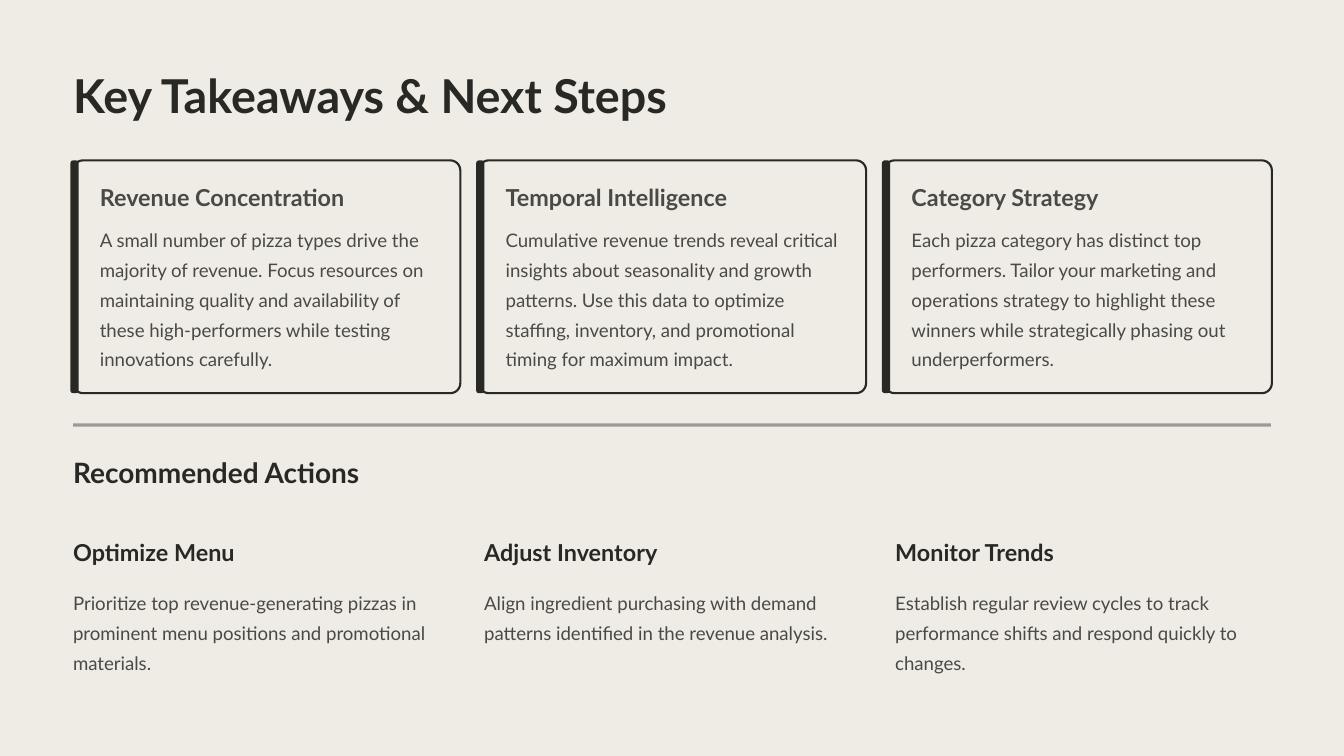
from dataclasses import dataclass

from pptx import Presentation
from pptx.dml.color import RGBColor
from pptx.enum.shapes import MSO_SHAPE
from pptx.enum.text import MSO_ANCHOR, MSO_AUTO_SIZE, PP_ALIGN
from pptx.oxml.ns import qn
from pptx.oxml.xmlchemy import OxmlElement
from pptx.shapes.autoshape import Shape
from pptx.slide import Slide
from pptx.util import Cm, Pt


@dataclass(frozen=True)
class TextStyle:
    size: float
    leading: float
    color: RGBColor
    bold: bool = True
    wrap: bool = False


@dataclass(frozen=True)
class Theme:
    font: str = "Lato"
    paper: RGBColor = RGBColor(0xEF, 0xEC, 0xE6)
    ink: RGBColor = RGBColor(0x28, 0x28, 0x24)
    gray: RGBColor = RGBColor(0x4A, 0x4A, 0x45)
    title: TextStyle = TextStyle(40, 50, ink)
    section: TextStyle = TextStyle(24, 30, ink)
    card_heading: TextStyle = TextStyle(20, 25, gray)
    action_heading: TextStyle = TextStyle(20, 25, ink)
    body: TextStyle = TextStyle(16, 25.5, gray, bold=False, wrap=True)


@dataclass(frozen=True)
class Box:
    """A place on the slide, in centimetres."""
    left: float
    top: float
    width: float
    height: float


@dataclass(frozen=True)
class Topic:
    heading: str
    body: str


THEME = Theme()
MARGIN = 2.21
CARD_TOP, CARD_WIDTH, CARD_HEIGHT, CARD_PITCH = 4.85, 11.71, 7.04, 12.27
CARD_PADDING = 0.81
ACTION_PITCH = 12.43

TAKEAWAYS = [
    Topic("Revenue Concentration",
          "A small number of pizza types drive the majority of revenue. Focus resources on "
          "maintaining quality and availability of these high-performers while testing "
          "innovations carefully."),
    Topic("Temporal Intelligence",
          "Cumulative revenue trends reveal critical insights about seasonality and growth "
          "patterns. Use this data to optimize staffing, inventory, and promotional timing "
          "for maximum impact."),
    Topic("Category Strategy",
          "Each pizza category has distinct top performers. Tailor your marketing and "
          "operations strategy to highlight these winners while strategically phasing out "
          "underperformers."),
]
ACTIONS = [
    Topic("Optimize Menu",
          "Prioritize top revenue-generating pizzas in prominent menu positions and "
          "promotional materials."),
    Topic("Adjust Inventory",
          "Align ingredient purchasing with demand patterns identified in the revenue "
          "analysis."),
    Topic("Monitor Trends",
          "Establish regular review cycles to track performance shifts and respond quickly "
          "to changes."),
]


def place(shape: Shape, box: Box) -> None:
    shape.left, shape.top = Cm(box.left), Cm(box.top)
    shape.width, shape.height = Cm(box.width), Cm(box.height)


def write(shape: Shape, text: str, style: TextStyle) -> None:
    frame = shape.text_frame
    frame.margin_left = frame.margin_right = frame.margin_top = frame.margin_bottom = 0
    frame.auto_size = MSO_AUTO_SIZE.NONE
    frame.word_wrap = style.wrap
    frame.vertical_anchor = MSO_ANCHOR.TOP
    para = frame.paragraphs[0]
    para.alignment = PP_ALIGN.LEFT
    para.space_before = Pt(0)
    para.line_spacing = Pt(style.leading)
    span = para.add_run()
    span.text = text
    span.font.name = THEME.font
    span.font.size = Pt(style.size)
    span.font.bold = style.bold
    span.font.color.rgb = style.color


def add_text(page: Slide, box: Box, text: str, style: TextStyle) -> None:
    shape = page.shapes.add_textbox(0, 0, 0, 0)
    place(shape, box)
    write(shape, text, style)


def add_block(page: Slide, kind: MSO_SHAPE, box: Box, fill: RGBColor) -> Shape:
    shape = page.shapes.add_shape(kind, 0, 0, 0, 0)
    place(shape, box)
    shape.shadow.inherit = False
    shape.fill.solid()
    shape.fill.fore_color.rgb = fill
    shape.line.fill.background()
    return shape


def add_card(page: Slide, left: float, topic: Topic) -> None:
    frame = add_block(page, MSO_SHAPE.ROUNDED_RECTANGLE,
                      Box(left, CARD_TOP, CARD_WIDTH, CARD_HEIGHT), THEME.paper)
    frame.adjustments[0] = 0.043
    frame.line.color.rgb = THEME.ink
    frame.line.width = Pt(1.8)
    accent = add_block(page, MSO_SHAPE.ROUNDED_RECTANGLE,
                       Box(left - 0.08, CARD_TOP, 0.25, CARD_HEIGHT), THEME.ink)
    accent.adjustments[0] = 0.335
    text_left = left + CARD_PADDING
    add_text(page, Box(text_left, 5.49, 7.49, 0.89), topic.heading, THEME.card_heading)
    add_text(page, Box(text_left, 6.71, 10.24, 4.55), topic.body, THEME.body)


def add_action(page: Slide, left: float, topic: Topic) -> None:
    add_text(page, Box(left, 16.23, 7.09, 0.89), topic.heading, THEME.action_heading)
    add_text(page, Box(left, 17.68, 11.02, 2.72), topic.body, THEME.body)


def add_divider(page: Slide) -> None:
    divider = add_block(page, MSO_SHAPE.RECTANGLE, Box(MARGIN, 12.8, 36.22, 0.1), THEME.gray)
    # Half transparent fill
    alpha = OxmlElement("a:alpha")
    alpha.set("val", "50000")
    divider.fill._xPr.find(qn("a:solidFill"))[0].append(alpha)


def main() -> None:
    deck = Presentation()
    deck.slide_width, deck.slide_height = Cm(40.64), Cm(22.86)
    page = deck.slides.add_slide(deck.slide_layouts[5])
    page.background.fill.solid()
    page.background.fill.fore_color.rgb = THEME.paper

    # Title
    title = page.shapes.title
    place(title, Box(MARGIN, 1.96, 18.01, 1.78))
    write(title, "Key Takeaways & Next Steps", THEME.title)

    # Takeaway cards
    for column, topic in enumerate(TAKEAWAYS):
        add_card(page, MARGIN + column * CARD_PITCH, topic)

    # Recommended actions
    add_divider(page)
    add_text(page, Box(MARGIN, 13.74, 8.76, 1.07), "Recommended Actions", THEME.section)
    for column, topic in enumerate(ACTIONS):
        add_action(page, MARGIN + column * ACTION_PITCH, topic)

    deck.save("out.pptx")


if __name__ == "__main__":
    main()
